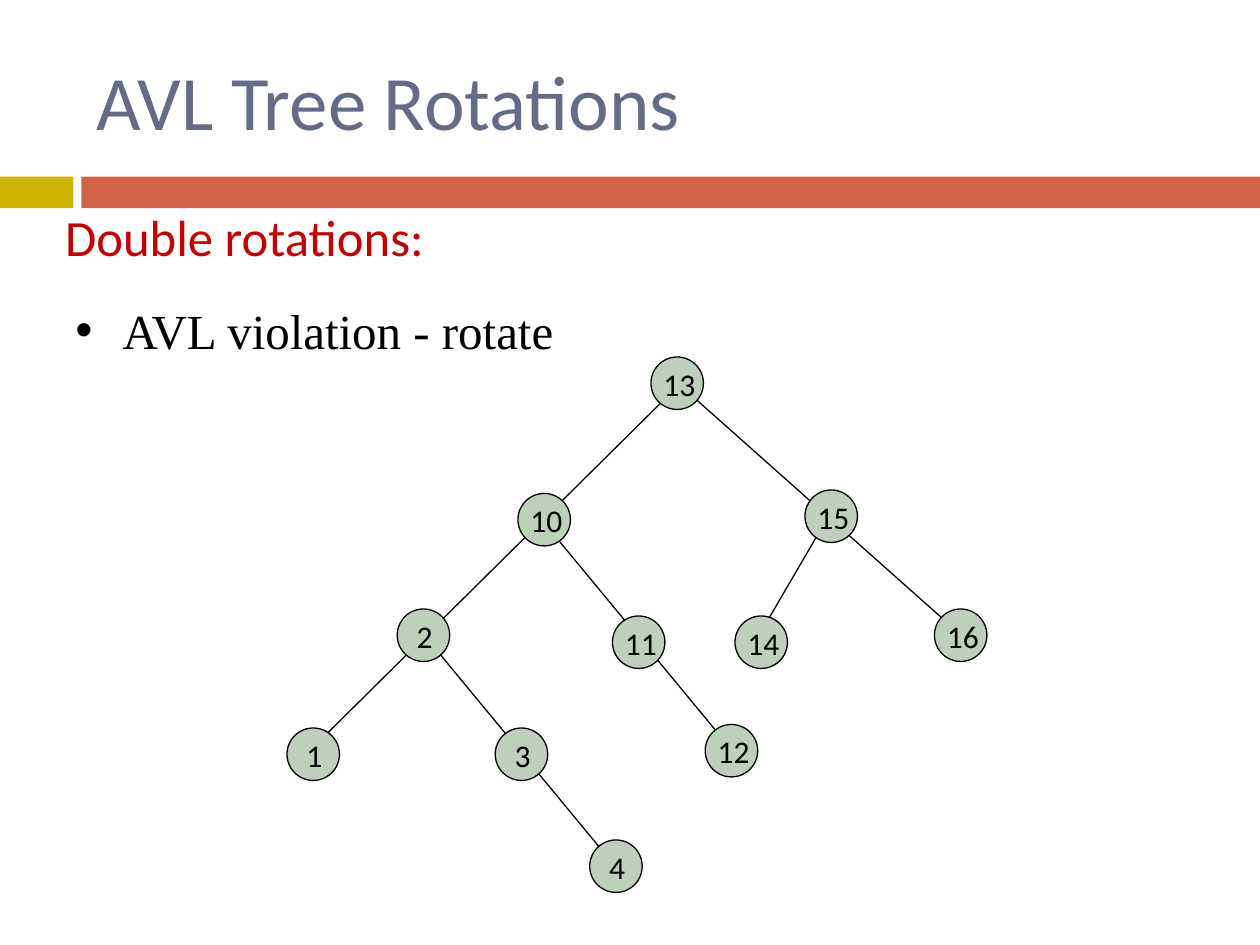
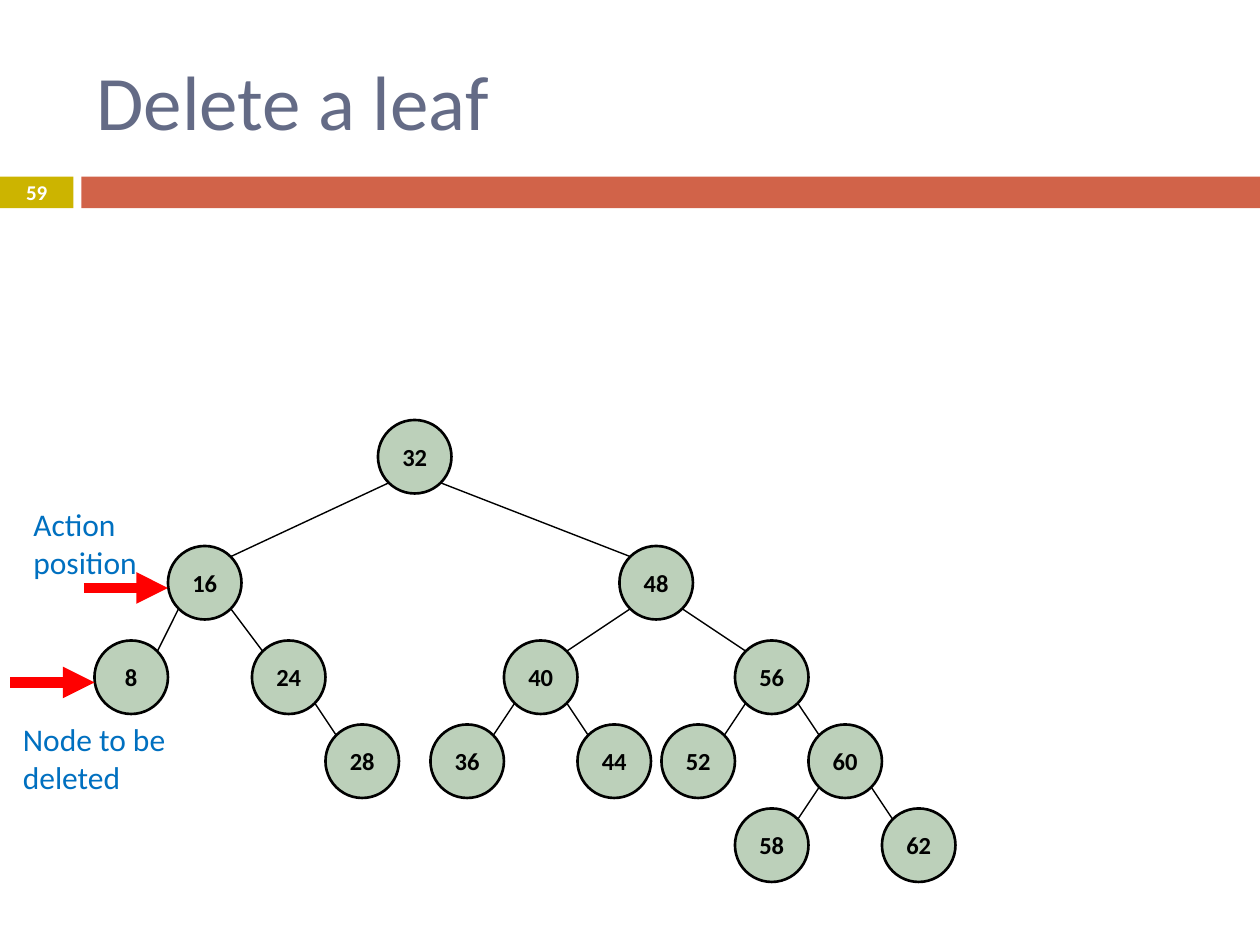
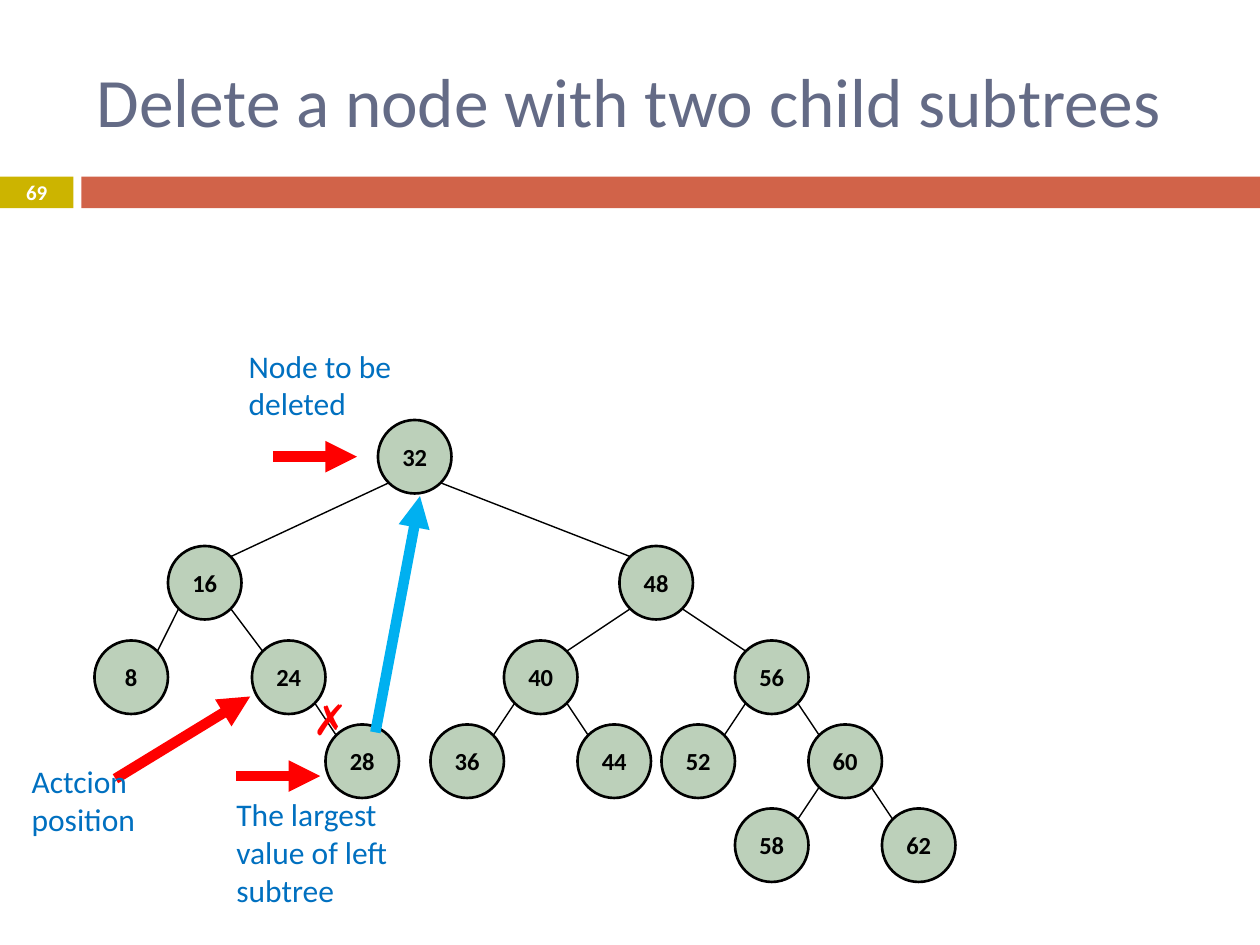
from lxml import etree
from pptx import Presentation
from pptx import util as u
from pptx.dml.color import RGBColor
from pptx.enum import shapes, text
from pptx.oxml.ns import qn

INK = RGBColor(0x00, 0x00, 0x00)
WHITE = RGBColor(0xFF, 0xFF, 0xFF)
SLATE = RGBColor(0x64, 0x6B, 0x86)
GOLD = RGBColor(0xCC, 0xB4, 0x00)
RUST = RGBColor(0xD1, 0x63, 0x49)
SAGE = RGBColor(0xBC, 0xD0, 0xBA)
WINE = RGBColor(0xC0, 0x00, 0x00)
RED = RGBColor(0xFF, 0x00, 0x00)
BLUE = RGBColor(0x00, 0x70, 0xC0)
SKY = RGBColor(0x00, 0xB0, 0xF0)

LEFT, MID = text.PP_ALIGN.LEFT, text.PP_ALIGN.CENTER
TOP, CORE = text.MSO_ANCHOR.TOP, text.MSO_ANCHOR.MIDDLE
PLAIN, BARE = 1, 5
SMALL, LARGE, EDGE = 30, 42, 6

SPLIT = {"13": (372, 204), "10": (296, 282), "15": (460, 280), "2": (227, 348),
         "11": (350, 352), "14": (420, 352), "16": (534, 348), "1": (164, 416),
         "3": (283, 416), "12": (403, 414), "4": (337, 480)}
LIMBS = [(388, 220, 180, 426), (240, 360, 354, 498), (307, 294, 426, 438),
         (474, 294, 432, 366), (384, 216, 546, 360)]

TREE = {"32": (216, 240), "16": (96, 312), "48": (354, 312), "8": (54, 366),
        "24": (144, 366), "40": (288, 366), "56": (420, 366), "28": (186, 414),
        "36": (246, 414), "44": (330, 414), "52": (378, 414), "60": (462, 414),
        "58": (420, 462), "62": (504, 462)}
KIDS = {"32": ("16", "48"), "16": ("8", "24"), "24": ("28",), "48": ("40", "56"),
        "40": ("36", "44"), "56": ("52", "60"), "60": ("58", "62")}


class Deck:
    face = "Calibri"

    def __init__(self):
        self.file = Presentation()
        self.file.slide_width, self.file.slide_height = u.Pt(720), u.Pt(540)
        self.slide = None

    def letter(self, item, words, size, tint, align=LEFT, anchor=TOP, inset=None,
               face=None, bold=False, bullet=None, hang=0):
        frame = item.text_frame
        look = {"word_wrap": True, "auto_size": text.MSO_AUTO_SIZE.NONE,
                "vertical_anchor": anchor}
        if inset is not None:
            sides = ("left", "top", "right", "bottom")
            look.update({f"margin_{side}": u.Pt(inset) for side in sides})
        for key, val in look.items():
            setattr(frame, key, val)
        frame.text = words
        para = frame.paragraphs[0]
        para.alignment, para.space_before = align, u.Pt(0)
        props = para._p.get_or_add_pPr()
        props.set("marL", str(u.Pt(hang)))
        props.set("indent", str(-u.Pt(hang)))
        if bullet:
            etree.SubElement(props, qn("a:buFont")).set("typeface", "Arial")
            etree.SubElement(props, qn("a:buChar")).set("char", bullet)
        else:
            etree.SubElement(props, qn("a:buNone"))
        font = para.runs[0].font
        for key, val in {"name": face or self.face, "size": u.Pt(size), "bold": bold}.items():
            setattr(font, key, val)
        font.color.rgb = tint

    def place(self, item, box):
        for key, val in zip(("left", "top", "width", "height"), box):
            setattr(item, key, u.Pt(val))

    def start(self, title, box=(48, 18, 642, 78), size=44, page=None, kind=BARE):
        self.slide = self.file.slides.add_slide(self.file.slide_layouts[kind])
        self.band((0, 101, 42, 18), GOLD)
        self.band((46.5, 101, 673.5, 18), RUST)
        head = self.slide.shapes.title
        self.place(head, box)
        self.letter(head, title, size, SLATE, anchor=CORE)
        if page:
            self.label(page, (0, 100, 42, 19.5), 12, WHITE, align=MID, anchor=CORE,
                       inset=0, bold=True)

    def body(self, words, box, size, tint):
        item = self.slide.placeholders[1]
        self.place(item, box)
        self.letter(item, words, size, tint)

    def form(self, kind, box, fill):
        item = self.slide.shapes.add_shape(kind, *map(u.Pt, box))
        item.shadow.inherit = False
        item.fill.solid()
        item.fill.fore_color.rgb = fill
        return item

    def band(self, box, fill):
        self.form(shapes.MSO_SHAPE.RECTANGLE, box, fill).line.fill.background()

    def node(self, spot, size, width, words=None):
        item = self.form(shapes.MSO_SHAPE.OVAL, (*spot, size, size), SAGE)
        item.line.color.rgb, item.line.width = INK, u.Pt(width)
        if words:
            self.letter(item, words, 14, INK, align=MID, anchor=CORE, inset=0, bold=True)

    def label(self, words, box, size=18, tint=BLUE, **look):
        item = self.slide.shapes.add_textbox(*map(u.Pt, box))
        self.letter(item, words, size, tint, **look)

    def line(self, ends, tint=INK, width=0.75, arrow=False):
        item = self.slide.shapes.add_connector(shapes.MSO_CONNECTOR.STRAIGHT, *map(u.Pt, ends))
        item.line.color.rgb, item.line.width = tint, u.Pt(width)
        props = item.element.spPr
        if arrow:
            etree.SubElement(props.find(qn("a:ln")), qn("a:tailEnd")).set("type", "triangle")
        etree.SubElement(props, qn("a:effectLst"))

    def arrow(self, ends, tint=RED):
        self.line(ends, tint, 6, True)

    def tree(self):
        far = LARGE - EDGE
        for top, kids in KIDS.items():
            x, y = TREE[top]
            for kid in kids:
                a, b = TREE[kid]
                out, into = (EDGE, far) if a < x else (far, EDGE)
                self.line((x + out, y + far, a + into, b + EDGE), width=0.8)
        for words, spot in TREE.items():
            self.node(spot, LARGE, 1.5, words)


def main():
    deck = Deck()

    deck.start("AVL Tree Rotations", (48, 12, 612, 90), kind=PLAIN)
    deck.body("Double rotations:", (30, 114, 276, 48), 29, WINE)
    deck.label("AVL violation - rotate", (36, 168, 330, 48), 28, INK,
               face="Times New Roman", bullet="•", hang=27)
    for limb in LIMBS:
        deck.line(limb)
    for words, (x, y) in SPLIT.items():
        deck.node((x, y), SMALL, 0.75)
        shift = 4 if len(words) == 1 else 0
        deck.label(words, (x + shift, y + 1, 36, 29), tint=INK)

    deck.start("Delete a leaf", page="59")
    deck.tree()
    deck.arrow((6, 390, 54, 390))
    deck.arrow((48, 336, 96, 336))
    deck.label("Node to be deleted", (6, 408, 114, 51))
    deck.label("Action position", (12, 285, 114, 51))

    deck.start("Delete a node with two child subtrees", size=39.6, page="69")
    deck.tree()
    deck.arrow((156, 261, 204, 261))
    deck.arrow((135, 443.5, 183, 443.5))
    deck.label("Node to be deleted", (135, 194.5, 114, 51))
    deck.label("The largest value of left subtree", (128, 451, 114, 73))
    deck.arrow((66, 445, 143, 398))
    deck.label("Actcion position", (11, 432, 114, 51))
    deck.label("✗", (171.5, 393, 62, 36), 24, RED, face="Arial")
    deck.arrow((214.5, 418.5, 240, 283.5), SKY)

    deck.file.save("out.pptx")


if __name__ == "__main__":
    main()
